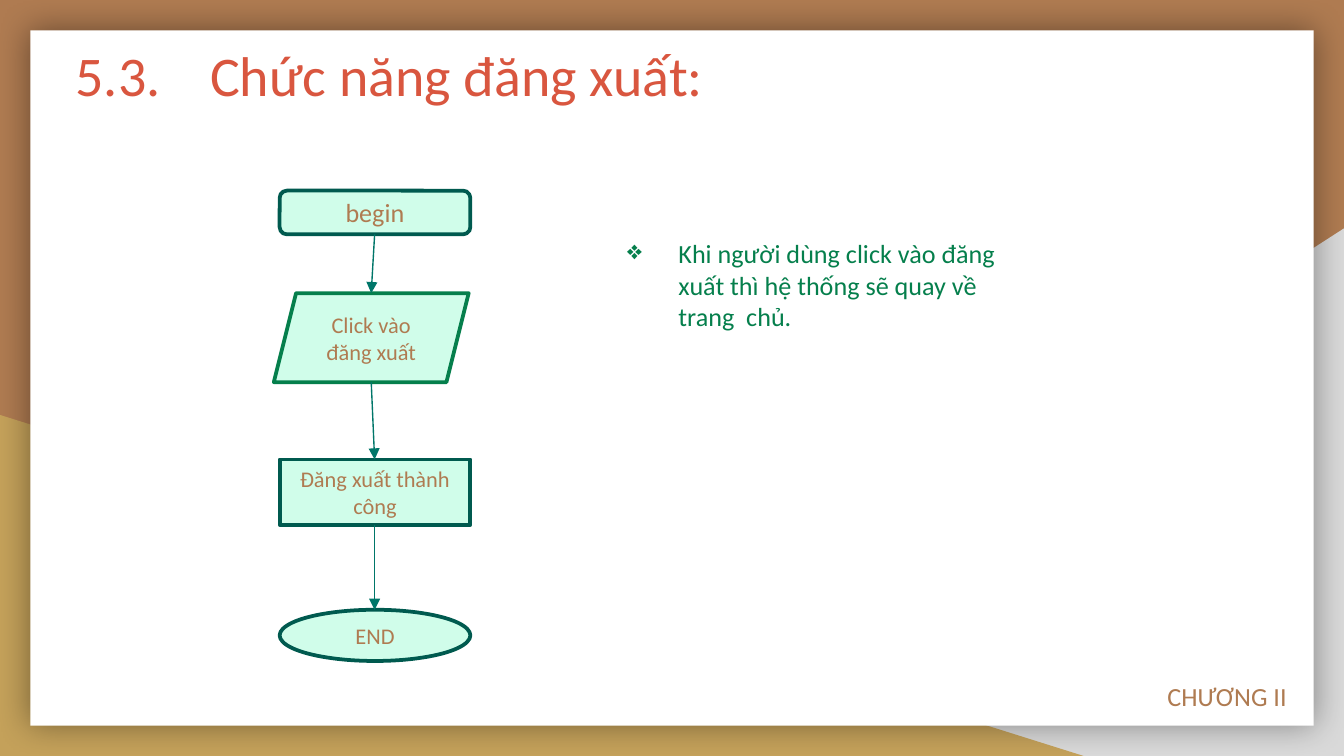
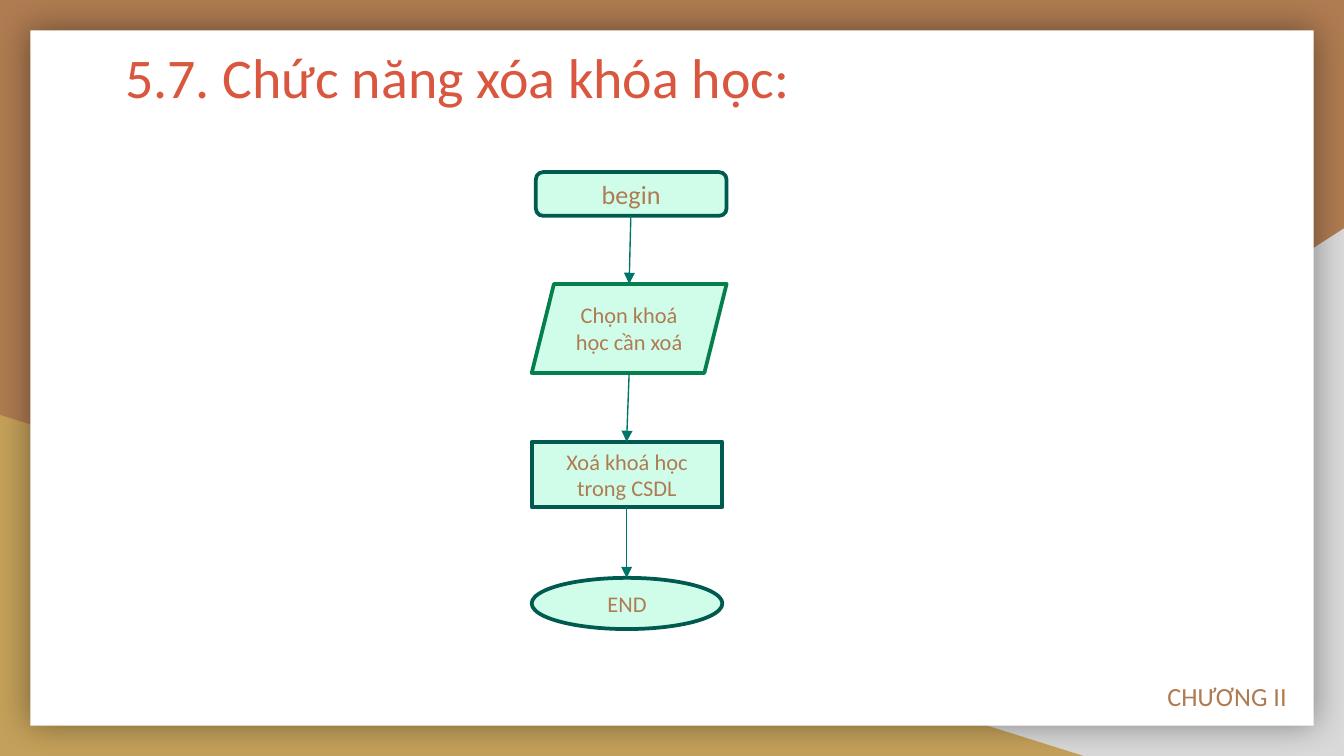
import dataclasses
import itertools
import typing

import lxml.etree
import pptx
import pptx.dml.color
import pptx.enum.shapes
import pptx.enum.text
import pptx.oxml.ns
import pptx.util

RGB = pptx.dml.color.RGBColor
KIND = pptx.enum.shapes.MSO_SHAPE
ALIGN = pptx.enum.text.PP_ALIGN
ANCHOR = pptx.enum.text.MSO_ANCHOR
FIT = pptx.enum.text.MSO_AUTO_SIZE
qn = pptx.oxml.ns.qn

SCALE = 5715  # EMU in one px, 160 px to the inch
WIDTH, HEIGHT = 1600, 900
INSET = 16
INDENT = 61
FONT = "Calibri"

BROWN = RGB(0xAF, 0x7B, 0x51)
GREY = RGB(0xD9, 0xD9, 0xD9)
GOLD = RGB(0xC4, 0xA1, 0x5A)
WHITE = RGB(0xFF, 0xFF, 0xFF)
RED = RGB(0xD9, 0x56, 0x3F)
GREEN = RGB(0x05, 0x7F, 0x4C)
MINT = RGB(0xD0, 0xFD, 0xEA)
PINE = RGB(0x00, 0x5A, 0x4F)
TEAL = RGB(0x00, 0x76, 0x69)


class Box(typing.NamedTuple):
    left: int
    top: int
    width: int
    height: int

    @property
    def mid(self) -> int:
        return self.left + self.width // 2

    @property
    def end(self) -> int:
        return self.top + self.height


class Step(typing.NamedTuple):
    """The look of one flowchart step."""
    kind: typing.Any
    width: int
    height: int
    edge: RGB
    size: int


class Node(typing.NamedTuple):
    step: Step
    text: str
    left: int
    top: int

    @property
    def box(self) -> Box:
        return Box(self.left, self.top, self.step.width, self.step.height)


@dataclasses.dataclass(frozen=True)
class Page:
    title: str
    place: Box
    nodes: tuple[Node, ...]
    note: str = ""


START = Step(KIND.ROUNDED_RECTANGLE, 227, 52, PINE, 14)
INPUT = Step(KIND.PARALLELOGRAM, 232, 106, GREEN, 12)
TASK = Step(KIND.RECTANGLE, 227, 78, PINE, 12)
STOP = Step(KIND.OVAL, 227, 61, PINE, 12)

CARD = Box(36, 36, 1528, 828)
RIGHT = Box(627, 272, 973, 628)
LEFT = Box(0, 494, 1290, 406)
FOOTER = Box(1374, 802, 208, 54)
NOTE = Box(731, 267, 478, 146)

PAGES = (
    Page(
        "5.3.\tChức năng đăng xuất:",
        Box(74, 32, 1314, 118),
        (
            Node(START, "begin", 333, 227),
            Node(INPUT, "Click vào đăng xuất", 326, 349),
            Node(TASK, "Đăng xuất thành công", 333, 547),
            Node(STOP, "END", 333, 726),
        ),
        "Khi người dùng click vào đăng xuất thì hệ thống sẽ quay về trang  chủ.",
    ),
    Page(
        "5.7. Chức năng xóa khóa học:",
        Box(133, 35, 1314, 166),
        (
            Node(START, "begin", 638, 205),
            Node(INPUT, "Chọn khoá học cần xoá", 633, 338),
            Node(TASK, "Xoá khoá học trong CSDL", 633, 526),
            Node(STOP, "END", 633, 688),
        ),
    ),
)


def px(count: int) -> pptx.util.Emu:
    return pptx.util.Emu(count * SCALE)


def apply(target, form: dict) -> None:
    """Set each attribute named in form."""
    for name, value in form.items():
        setattr(target, name, value)


def move(shape, box: Box) -> None:
    apply(shape, {name: px(value) for name, value in box._asdict().items()})


def add_xml(parent, tag: str, **attrs: str):
    return lxml.etree.SubElement(parent, qn(tag), attrs)


def write(shape, text: str, size: int, color: RGB,
          align=ALIGN.LEFT, **form) -> None:
    frame = shape.text_frame
    apply(frame, {"text": text, "word_wrap": True, **form})
    line = frame.paragraphs[0]
    line.alignment = align
    font = line.runs[0].font
    apply(font, {"name": FONT, "size": pptx.util.Pt(size)})
    font.color.rgb = color


def pad(shape) -> None:
    sides = ("left", "top", "right", "bottom")
    apply(shape.text_frame, {f"margin_{side}": px(INSET) for side in sides})


def add_shape(slide, kind, box: Box, fill: RGB, edge: RGB | None = None):
    shape = slide.shapes.add_shape(kind, *map(px, box))
    shape.shadow.inherit = False
    shape.fill.solid()
    shape.fill.fore_color.rgb = fill
    if edge is None:
        shape.line.fill.background()
    else:
        shape.line.color.rgb = edge
        shape.line.width = pptx.util.Pt(2)
    return shape


def add_text(slide, box: Box, text: str, size: int, color: RGB):
    shape = slide.shapes.add_textbox(*map(px, box))
    write(shape, text, size, color, auto_size=FIT.SHAPE_TO_FIT_TEXT)
    return shape


def add_frame(slide) -> None:
    """Draw the corner triangles, the white card and the footer."""
    right = add_shape(slide, KIND.RIGHT_TRIANGLE, RIGHT, GREY)
    right.element.spPr.find(qn("a:xfrm")).set("flipH", "1")
    add_shape(slide, KIND.RIGHT_TRIANGLE, LEFT, GOLD)
    card = add_shape(slide, KIND.RECTANGLE, CARD, WHITE)
    effect = card.element.spPr.find(qn("a:effectLst"))
    blur = str(pptx.util.Pt(18))
    shade = add_xml(effect, "a:outerShdw", blurRad=blur, algn="ctr",
                    rotWithShape="0")
    tint = add_xml(shade, "a:srgbClr", val="000000")
    add_xml(tint, "a:alpha", val="40000")
    add_text(slide, FOOTER, "CHƯƠNG II", 14, BROWN)


def add_title(slide, text: str, box: Box) -> None:
    title = slide.shapes.title
    title.element.getparent().append(title.element)  # above the card
    move(title, box)
    pad(title)
    write(title, text, 30, RED, vertical_anchor=ANCHOR.TOP,
          auto_size=FIT.NONE)


def add_note(slide, text: str) -> None:
    note = add_text(slide, NOTE, text, 14, GREEN)
    pad(note)
    props = note.text_frame.paragraphs[0]._p.get_or_add_pPr()
    apply_xml = {"marL": px(INDENT), "indent": px(-INDENT)}
    for name, value in apply_xml.items():
        props.set(name, str(value))
    tint = add_xml(props, "a:buClr")
    add_xml(tint, "a:srgbClr", val=str(GREEN))
    add_xml(props, "a:buChar", char="❖")


def add_node(slide, node: Node) -> None:
    step = node.step
    shape = add_shape(slide, step.kind, node.box, MINT, step.edge)
    write(shape, node.text, step.size, BROWN, ALIGN.CENTER,
          vertical_anchor=ANCHOR.MIDDLE)


def add_arrow(slide, start: Box, stop: Box) -> None:
    ends = (start.mid, start.end, stop.mid, stop.top)
    arrow = slide.shapes.add_connector(
        pptx.enum.shapes.MSO_CONNECTOR.STRAIGHT, *map(px, ends))
    arrow.line.color.rgb = TEAL
    arrow.line.width = pptx.util.Pt(0.75)
    props = arrow.element.spPr
    add_xml(props.find(qn("a:ln")), "a:tailEnd", type="triangle")
    add_xml(props, "a:effectLst")


def add_page(deck, page: Page) -> None:
    slide = deck.slides.add_slide(deck.slide_layouts[5])
    add_frame(slide)
    add_title(slide, page.title, page.place)
    if page.note:
        add_note(slide, page.note)
    for node in page.nodes:
        add_node(slide, node)
    for start, stop in itertools.pairwise(page.nodes):
        add_arrow(slide, start.box, stop.box)


def main() -> None:
    deck = pptx.Presentation()
    apply(deck, {"slide_width": px(WIDTH), "slide_height": px(HEIGHT)})
    back = deck.slide_master.background.fill
    back.solid()
    back.fore_color.rgb = BROWN
    for page in PAGES:
        add_page(deck, page)
    deck.save("out.pptx")


if __name__ == "__main__":
    main()
